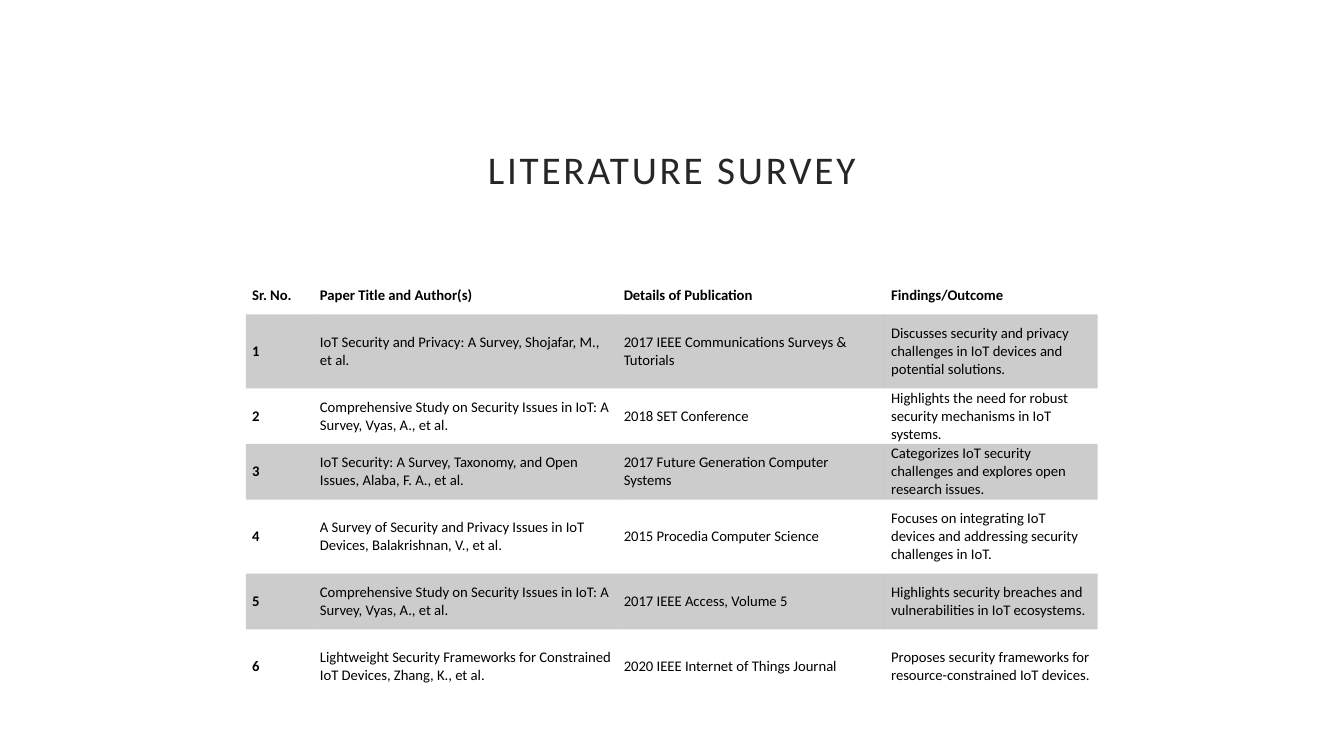
from dataclasses import dataclass

from lxml.etree import SubElement
from pptx import Presentation
from pptx.dml.color import RGBColor
from pptx.enum.text import MSO_ANCHOR as Anchor, MSO_AUTO_SIZE as AutoSize, PP_ALIGN as Align
from pptx.oxml.ns import qn
from pptx.util import Pt


@dataclass(frozen=True)
class Theme:
    font: str = "Calibri"
    title_size: float = 28
    table_size: float = 10.5
    white: str = "FFFFFF"
    title_ink: str = "262626"
    ink: str = "000000"
    band_alpha: int = 20
    plain_table: str = "{2D5ABB26-0587-4C30-8999-92F81FD0307C}"


class SlideBuilder:
    def __init__(self, page, theme):
        self.page = page
        self.theme = theme

    def add_span(self, para, text, size, color, bold=False):
        span = para.add_run()
        span.text = text
        span.font.name = self.theme.font
        span.font.size = Pt(size)
        span.font.bold = bold
        span.font.color.rgb = RGBColor.from_string(color)
        return span

    def title(self, text, left, top, width, height):
        box = self.page.shapes.title
        box.left, box.top, box.width, box.height = map(Pt, (left, top, width, height))
        box.fill.solid()
        box.fill.fore_color.rgb = RGBColor.from_string(self.theme.white)
        frame = box.text_frame
        frame.word_wrap = True
        frame.auto_size = AutoSize.NONE
        frame.vertical_anchor = Anchor.MIDDLE
        frame.margin_left = frame.margin_right = Pt(14.4)
        frame.margin_top = frame.margin_bottom = Pt(14.4)
        para = frame.paragraphs[0]
        para.alignment = Align.CENTER
        para.line_spacing = 0.9
        span = self.add_span(para, text, self.theme.title_size, self.theme.title_ink)
        span.font._element.set("spc", "200")  # letter spacing of 2 pt

    def table(self, rows, left, top, widths, heights):
        frame = self.page.shapes.add_table(
            len(rows), len(widths), Pt(left), Pt(top), Pt(sum(widths)), Pt(sum(heights)))
        table = frame.table
        table.horz_banding = False
        table._tbl.tblPr.find(qn("a:tableStyleId")).text = self.theme.plain_table
        for column, width in zip(table.columns, widths):
            column.width = Pt(width)
        for row, height in zip(table.rows, heights):
            row.height = Pt(height)
        for r, texts in enumerate(rows):
            for c, text in enumerate(texts):
                self.cell(table.cell(r, c), text, bold=r == 0 or c == 0, banded=r % 2 == 1)

    def cell(self, cell, text, bold, banded):
        cell.vertical_anchor = Anchor.MIDDLE
        cell.margin_left = cell.margin_right = Pt(4.5)
        cell.margin_top = cell.margin_bottom = Pt(0)
        self.add_span(cell.text_frame.paragraphs[0], text,
                      self.theme.table_size, self.theme.ink, bold)
        if banded:
            cell.fill.solid()
            cell.fill.fore_color.rgb = RGBColor.from_string(self.theme.ink)
            color = cell._tc.tcPr.find(qn("a:solidFill")).find(qn("a:srgbClr"))
            SubElement(color, qn("a:alpha")).set("val", str(self.theme.band_alpha * 1000))
        else:
            cell.fill.background()


HEADER = ("Sr. No.", "Paper Title and Author(s)", "Details of Publication", "Findings/Outcome")
PAPERS = [
    ("IoT Security and Privacy: A Survey, Shojafar, M., et al.",
     "2017 IEEE Communications Surveys & Tutorials",
     "Discusses security and privacy challenges in IoT devices and potential solutions."),
    ("Comprehensive Study on Security Issues in IoT: A Survey, Vyas, A., et al.",
     "2018 SET Conference",
     "Highlights the need for robust security mechanisms in IoT systems."),
    ("IoT Security: A Survey, Taxonomy, and Open Issues, Alaba, F. A., et al.",
     "2017 Future Generation Computer Systems",
     "Categorizes IoT security challenges and explores open research issues."),
    ("A Survey of Security and Privacy Issues in IoT Devices, Balakrishnan, V., et al.",
     "2015 Procedia Computer Science",
     "Focuses on integrating IoT devices and addressing security challenges in IoT."),
    ("Comprehensive Study on Security Issues in IoT: A Survey, Vyas, A., et al.",
     "2017 IEEE Access, Volume 5",
     "Highlights security breaches and vulnerabilities in IoT ecosystems."),
    ("Lightweight Security Frameworks for Constrained IoT Devices, Zhang, K., et al.",
     "2020 IEEE Internet of Things Journal",
     "Proposes security frameworks for resource-constrained IoT devices."),
]


def main():
    deck = Presentation()
    deck.slide_width, deck.slide_height = Pt(960), Pt(540)
    title_only = deck.slide_layouts[5]
    builder = SlideBuilder(deck.slides.add_slide(title_only), Theme())

    # Title
    builder.title("LITERATURE SURVEY", 175.7, 75.6, 608.4, 93.6)

    # Numbered survey table
    rows = [HEADER] + [(str(number), *paper) for number, paper in enumerate(PAPERS, 1)]
    low, tall = 39.7, 53
    builder.table(rows, 175.7, 198, widths=(48.4, 217, 191, 152),
                  heights=(26.5, tall, low, low, tall, low, tall))

    deck.save("out.pptx")


if __name__ == "__main__":
    main()
